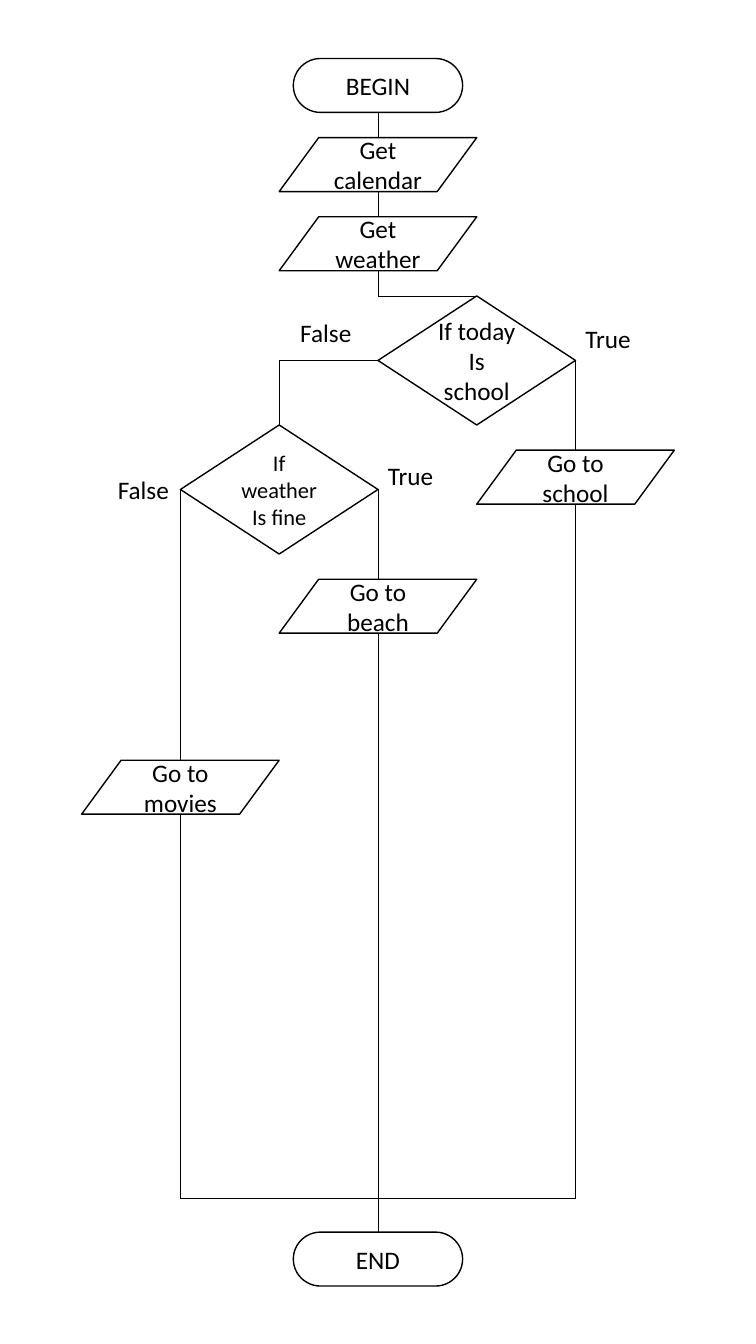
from collections import namedtuple
from dataclasses import dataclass

from pptx import Presentation
from pptx.dml.color import RGBColor
from pptx.enum.shapes import MSO_CONNECTOR, MSO_SHAPE
from pptx.enum.text import MSO_ANCHOR, MSO_AUTO_SIZE, PP_ALIGN
from pptx.oxml.ns import qn
from pptx.util import Pt
from lxml import etree

TERMINATOR = MSO_SHAPE.FLOWCHART_TERMINATOR
ACTION = MSO_SHAPE.FLOWCHART_DATA
DECISION = MSO_SHAPE.FLOWCHART_DECISION
STRAIGHT = MSO_CONNECTOR.STRAIGHT
CENTER = PP_ALIGN.CENTER
MIDDLE = MSO_ANCHOR.MIDDLE
FIT_SHAPE = MSO_AUTO_SIZE.SHAPE_TO_FIT_TEXT
TOP, LEFT, BOTTOM, RIGHT = range(4)

PX = 4572  # EMU: 200 px to the inch
SLIDE_W, SLIDE_H = 1500, 2666
LANE = 196  # distance between neighbouring lane centres
NODE_W, STEP_H, DECISION_H = 2 * LANE, 107, 256
TERMINATOR_W = 336
LABEL_W, LABEL_H = 144, 80
GAP = 50
MERGE_GAP = 66

Box = namedtuple("Box", "x y w h")


@dataclass(frozen=True)
class Theme:
    font: str = "Calibri"
    ink: RGBColor = RGBColor(0, 0, 0)
    paper: RGBColor = RGBColor(255, 255, 255)
    body: int = 18
    small: int = 16
    outline: float = 1
    flow: float = 0.5


THEME = Theme()


def write(frame, words, size):
    run = frame.paragraphs[0].add_run()
    run.text = words
    run.font.name = THEME.font
    run.font.size = Pt(size)
    run.font.color.rgb = THEME.ink


def add_node(slide, kind, words, center, top, size=THEME.body):
    width = TERMINATOR_W if kind == TERMINATOR else NODE_W
    height = DECISION_H if kind == DECISION else STEP_H
    node = slide.shapes.add_shape(
        kind, (center - width // 2) * PX, top * PX, width * PX, height * PX)
    node.shadow.inherit = False
    node.fill.solid()
    node.fill.fore_color.rgb = THEME.paper
    node.line.color.rgb = THEME.ink
    node.line.width = Pt(THEME.outline)
    frame = node.text_frame
    frame.word_wrap = True
    frame.vertical_anchor = MIDDLE
    frame.paragraphs[0].alignment = CENTER
    write(frame, words, size)
    return node


def add_label(slide, words, left, top):
    label = slide.shapes.add_textbox(left * PX, top * PX, LABEL_W * PX, LABEL_H * PX)
    label.text_frame.word_wrap = True
    label.text_frame.auto_size = FIT_SHAPE
    write(label.text_frame, words, THEME.body)


def add_flow(slide, *points, start=None, end=None):
    """Draw a line through the points; start and end are (node, side) joints."""
    legs = []
    for (x1, y1), (x2, y2) in zip(points, points[1:]):
        leg = slide.shapes.add_connector(STRAIGHT, x1 * PX, y1 * PX, x2 * PX, y2 * PX)
        leg.line.color.rgb = THEME.ink
        leg.line.width = Pt(THEME.flow)
        etree.SubElement(leg.element.spPr, qn("a:effectLst"))
        legs.append(leg)
    if start:
        legs[0].begin_connect(*start)
    if end:
        legs[-1].end_connect(*end)


def draw_opening(slide, box):
    """BEGIN and the two inputs, evenly stacked."""
    center = box.x + box.w // 2
    begin = add_node(slide, TERMINATOR, "BEGIN", center, box.y)
    top, joint = box.y, (begin, BOTTOM)
    for words in ("Get calendar", "Get weather"):
        bottom = top + STEP_H
        top = bottom + GAP
        add_node(slide, ACTION, words, center, top)
        add_flow(slide, (center, bottom), (center, top), start=joint)
        joint = None


def draw_school_choice(slide, box):
    """School decision with its True branch down to the merge line."""
    center, middle = box.x + LANE, box.y + DECISION_H // 2
    true_lane = center + LANE
    decision = add_node(slide, DECISION, "If today Is school", center, box.y)
    action_top = box.y + DECISION_H + GAP
    add_node(slide, ACTION, "Go to school", true_lane, action_top)
    add_flow(slide, (box.x, box.y), (center, box.y), end=(decision, TOP))
    add_flow(slide, (box.x, box.y - GAP), (box.x, box.y))
    add_flow(slide, (true_lane, middle), (true_lane, action_top), start=(decision, RIGHT))
    add_flow(slide, (true_lane, action_top + STEP_H), (true_lane, box.y + box.h),
             (box.x, box.y + box.h))
    add_label(slide, "True", true_lane, middle - 83)
    add_label(slide, "False", box.x - 174, middle - 95)
    return decision


def draw_weather_choice(slide, box, school):
    """Weather decision with both branches down to the merge line."""
    center, middle = box.x + LANE, box.y + DECISION_H // 2
    true_lane, merge = box.x + box.w, box.y + box.h
    weather = add_node(slide, DECISION, "If weather Is fine", center, box.y, THEME.small)
    school_middle = box.y - DECISION_H // 2
    add_flow(slide, (true_lane, school_middle), (center, school_middle), (center, box.y),
             start=(school, LEFT), end=(weather, TOP))
    branches = (("Go to beach", true_lane, box.y + DECISION_H + GAP, RIGHT),
                ("Go to movies", box.x, box.y + 665, LEFT))
    for words, lane, top, side in branches:
        add_node(slide, ACTION, words, lane, top)
        add_flow(slide, (lane, middle), (lane, top), start=(weather, side))
        add_flow(slide, (lane, top + STEP_H), (lane, merge))
    add_flow(slide, (box.x, merge), (true_lane, merge))
    add_label(slide, "False", box.x - LABEL_W, middle - 39)
    add_label(slide, "True", true_lane, middle - 67)


def draw_ending(slide, box):
    """END below the merge line."""
    center = box.x + box.w // 2
    end = add_node(slide, TERMINATOR, "END", center, box.y + MERGE_GAP)
    add_flow(slide, (center, box.y), (center, box.y + MERGE_GAP), end=(end, TOP))


def main():
    deck = Presentation()
    deck.slide_width, deck.slide_height = SLIDE_W * PX, SLIDE_H * PX
    slide = deck.slides.add_slide(deck.slide_layouts[6])

    axis, begin_top, merge = SLIDE_W // 2, 116, 2378
    school_top = begin_top + 3 * (STEP_H + GAP)
    weather_top = school_top + DECISION_H
    draw_opening(slide, Box(axis - LANE, begin_top, NODE_W, school_top - begin_top))
    school = draw_school_choice(
        slide, Box(axis, school_top, NODE_W, merge - school_top))
    draw_weather_choice(
        slide, Box(axis - NODE_W, weather_top, NODE_W, merge - weather_top), school)
    draw_ending(slide, Box(axis - LANE, merge, NODE_W, MERGE_GAP + STEP_H))
    deck.save("out.pptx")


if __name__ == "__main__":
    main()
